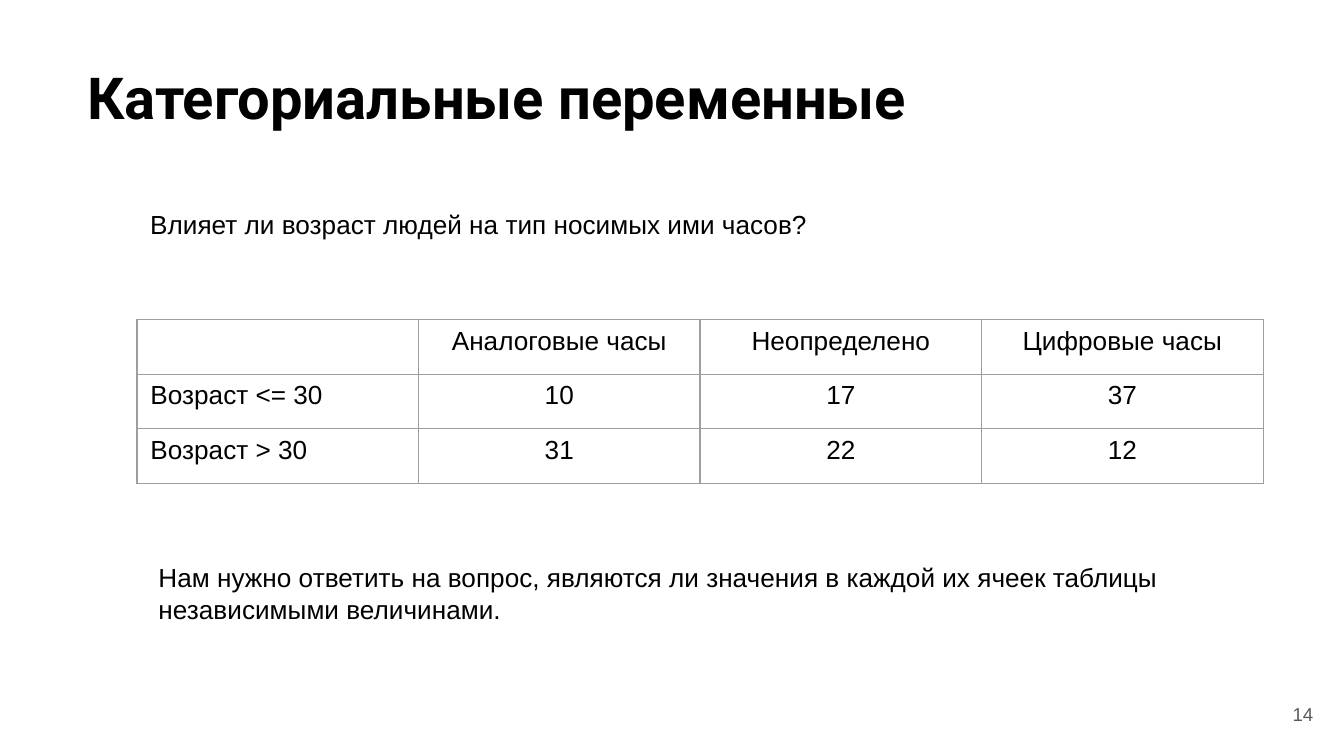
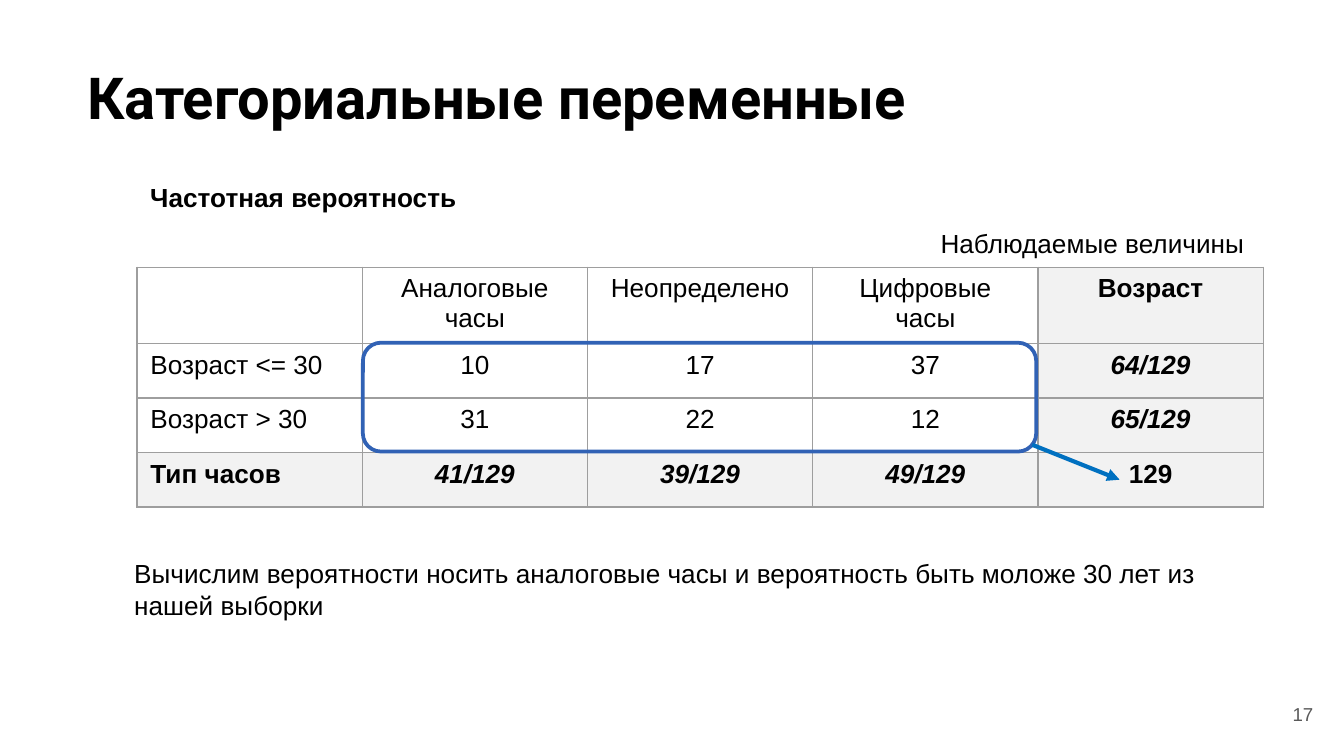
from lxml import etree
from pptx import Presentation
from pptx.dml.color import RGBColor
from pptx.enum.shapes import MSO_CONNECTOR, MSO_SHAPE
from pptx.enum.text import MSO_ANCHOR, MSO_AUTO_SIZE, PP_ALIGN
from pptx.oxml.ns import qn
from pptx.util import Pt

LEFT, CENTER, RIGHT = PP_ALIGN.LEFT, PP_ALIGN.CENTER, PP_ALIGN.RIGHT
TOP, MIDDLE = MSO_ANCHOR.TOP, MSO_ANCHOR.MIDDLE
FIT_SHAPE, FIT_NONE = MSO_AUTO_SIZE.SHAPE_TO_FIT_TEXT, MSO_AUTO_SIZE.NONE
ROUNDED, STRAIGHT = MSO_SHAPE.ROUNDED_RECTANGLE, MSO_CONNECTOR.STRAIGHT

# Content: note is (text, box, wraps, bold)
TITLE = "Категориальные переменные"
HEADER = ["", "Аналоговые часы", "Неопределено", "Цифровые часы"]
YOUNG = ["Возраст <= 30", "10", "17", "37"]
OLD = ["Возраст > 30", "31", "22", "12"]
SLIDES = [
    {
        "number": "14",
        "rows": [HEADER, YOUNG, OLD],
        "table_top": 171.3,
        "header_height": 29.2,
        "totals": False,
        "notes": [
            ("Влияет ли возраст людей на тип носимых ими часов?",
             (73.4, 108, 370, 24.5), False, False),
            ("Нам нужно ответить на вопрос, являются ли значения в каждой "
             "их ячеек таблицы независимыми величинами.",
             (77.8, 297.4, 599, 41), True, False),
        ],
    },
    {
        "number": "17",
        "rows": [
            HEADER + ["Возраст"],
            YOUNG + ["64/129"],
            OLD + ["65/129"],
            ["Тип часов", "41/129", "39/129", "49/129", "129"],
        ],
        "table_top": 143.2,
        "header_height": 39.2,
        "totals": True,
        "notes": [
            ("Частотная вероятность", (73.4, 93.6, 180.7, 24.5), False, True),
            ("Вычислим вероятности носить аналоговые часы и вероятность "
             "быть моложе 30 лет из нашей выборки",
             (64.8, 295.2, 612, 41), True, False),
            ("Наблюдаемые величины", (496.8, 118.1, 180, 24.5), False, False),
        ],
        "frame": (194.4, 183.6, 360.7, 58.3),
        "arrow": (553, 238.3, 599.8, 257),
    },
]

# Shared style
COLORS = {"text": "000000", "number": "595959", "border": "9E9E9E",
          "total": "F2F2F2", "frame": "3162B5", "arrow": "0070C0"}
TITLE_FONT = {"name": "Roboto", "size": Pt(31), "bold": True}
BODY_FONT = {"name": "Arial", "size": Pt(14)}
NUMBER_FONT = {"name": "Arial", "size": Pt(10)}
TITLE_BOX = (39.6, 25.9, 671, 86.4)
NUMBER_BOX = (667.4, 367.2, 43.2, 31)
TABLE_LEFT, TABLE_WIDTH, ROW_HEIGHT = 73.4, 603.4, 29.2
WIDE_INSET = 7.2


def points(values):
    return [Pt(value) for value in values]


def color(name):
    return RGBColor.from_string(COLORS[name])


def format_paragraph(paragraph, font, align=LEFT, color_name="text"):
    paragraph.alignment = align
    for name, value in font.items():
        setattr(paragraph.font, name, value)
    paragraph.font.color.rgb = color(color_name)


def format_frame(text_frame, settings):
    for name, value in settings.items():
        setattr(text_frame, name, value)


def add_title(slide):
    title = slide.shapes.title
    title.left, title.top, title.width, title.height = points(TITLE_BOX)
    inset = Pt(WIDE_INSET)
    format_frame(title.text_frame, {
        "text": TITLE, "vertical_anchor": TOP, "auto_size": FIT_NONE,
        "margin_left": inset, "margin_right": inset,
        "margin_top": inset, "margin_bottom": inset})
    format_paragraph(title.text_frame.paragraphs[0], TITLE_FONT)


def add_number(slide, number):
    box = slide.shapes.add_textbox(*points(NUMBER_BOX))
    inset = Pt(WIDE_INSET)
    format_frame(box.text_frame, {
        "text": number, "vertical_anchor": MIDDLE, "word_wrap": True,
        "margin_top": inset, "margin_bottom": inset})
    format_paragraph(box.text_frame.paragraphs[0], NUMBER_FONT, RIGHT, "number")


def add_note(slide, text, box, wraps, bold):
    note = slide.shapes.add_textbox(*points(box))
    format_frame(note.text_frame, {
        "text": text, "word_wrap": wraps, "auto_size": FIT_SHAPE})
    format_paragraph(note.text_frame.paragraphs[0], {**BODY_FONT, "bold": bold})


def add_borders(cell):
    properties = cell._tc.get_or_add_tcPr()
    for side in ("lnL", "lnR", "lnT", "lnB"):
        line = etree.SubElement(properties, qn(f"a:{side}"), w=str(Pt(0.75)))
        fill = etree.SubElement(line, qn("a:solidFill"))
        etree.SubElement(fill, qn("a:srgbClr"), val=COLORS["border"])


def add_table(slide, content):
    rows = content["rows"]
    last_row, last_column = len(rows) - 1, len(rows[0]) - 1
    heights = [content["header_height"]] + [ROW_HEIGHT] * last_row
    table = slide.shapes.add_table(
        len(rows), len(rows[0]),
        *points((TABLE_LEFT, content["table_top"], TABLE_WIDTH, sum(heights)))).table
    table.first_row = table.horz_banding = False
    for row, height in zip(table.rows, heights):
        row.height = Pt(height)
    for row_index, row in enumerate(rows):
        for column_index, text in enumerate(row):
            cell = table.cell(row_index, column_index)
            add_borders(cell)
            is_total = content["totals"] and (
                row_index == last_row or column_index == last_column)
            if is_total:
                cell.fill.solid()
                cell.fill.fore_color.rgb = color("total")
            else:
                cell.fill.background()
            cell.text = text
            font = {**BODY_FONT, "bold": is_total, "italic": "/" in text}
            format_paragraph(cell.text_frame.paragraphs[0], font,
                             CENTER if column_index else LEFT)


def add_frame(slide, box):
    frame = slide.shapes.add_shape(ROUNDED, *points(box))
    frame.shadow.inherit = False
    frame.fill.background()
    frame.line.color.rgb = color("frame")
    frame.line.width = Pt(2)


def add_arrow(slide, ends):
    arrow = slide.shapes.add_connector(STRAIGHT, *points(ends))
    arrow.line.color.rgb = color("arrow")
    arrow.line.width = Pt(2.25)
    etree.SubElement(arrow.line._get_or_add_ln(), qn("a:tailEnd"), type="triangle")
    etree.SubElement(arrow._element.spPr, qn("a:effectLst"))


def main():
    presentation = Presentation()
    presentation.slide_width, presentation.slide_height = Pt(720), Pt(405)
    title_only = presentation.slide_layouts[5]
    for content in SLIDES:
        slide = presentation.slides.add_slide(title_only)
        add_title(slide)
        add_number(slide, content["number"])
        add_table(slide, content)
        # Observed counts and their sum
        if "frame" in content:
            add_frame(slide, content["frame"])
            add_arrow(slide, content["arrow"])
        for note in content["notes"]:
            add_note(slide, *note)
    presentation.save("out.pptx")


if __name__ == "__main__":
    main()
